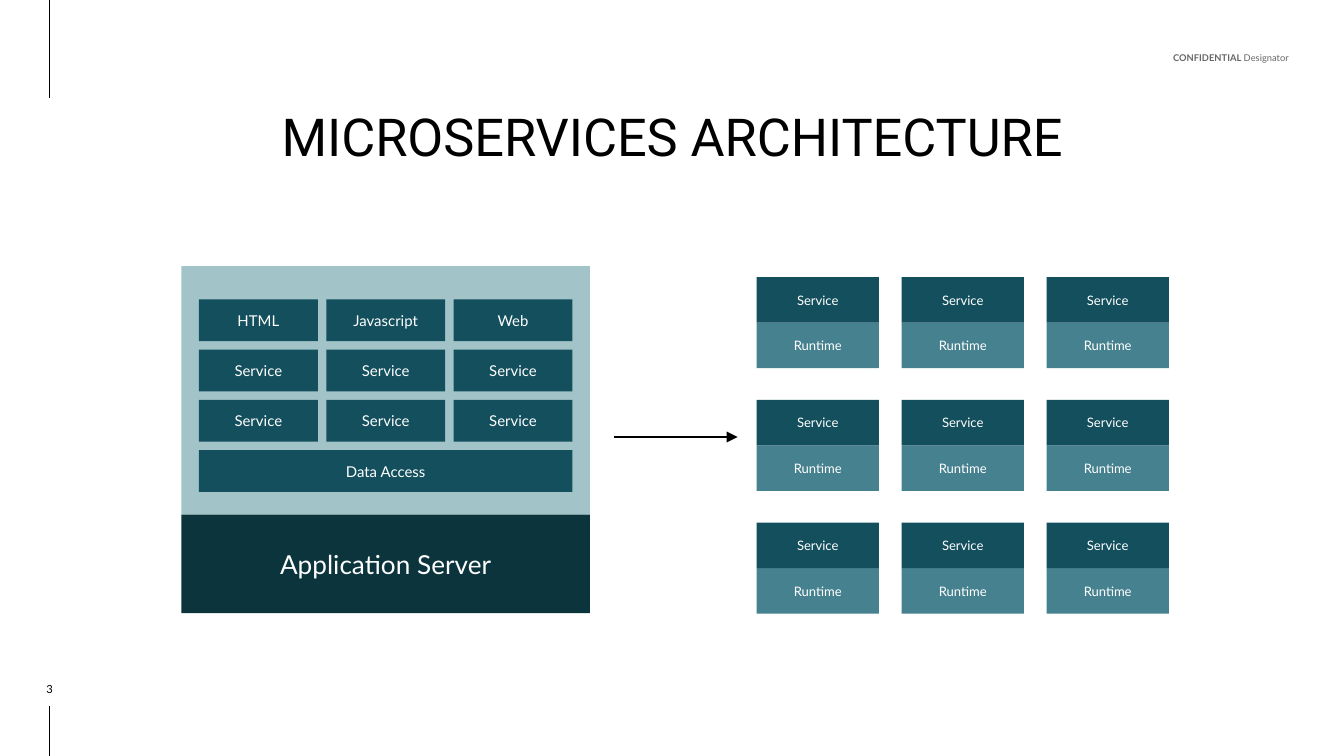
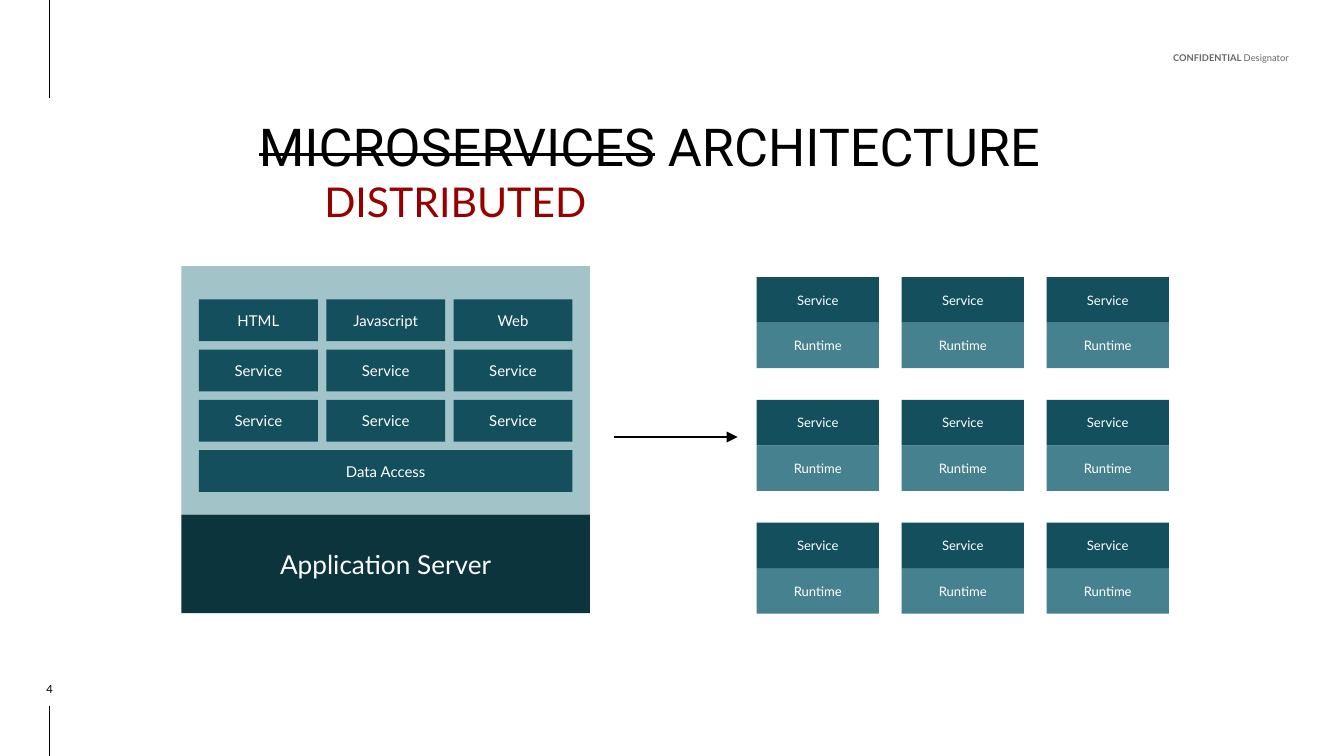
import dataclasses

import pptx
import pptx.dml.color
import pptx.enum.shapes
import pptx.enum.text
import pptx.oxml.ns
import pptx.util
from lxml import etree

Cm = pptx.util.Cm
Align = pptx.enum.text.PP_ALIGN
Anchor = pptx.enum.text.MSO_ANCHOR


@dataclasses.dataclass(frozen=True)
class Theme:
    body_font: str = "Lato"
    title_font: str = "Roboto"
    black: str = "000000"
    white: str = "FFFFFF"
    grey: str = "666666"
    red: str = "980000"
    pale: str = "A2C4C9"
    mid: str = "45818E"
    dark: str = "134F5C"
    darkest: str = "0C343D"
    title_size: float = 28
    correction_size: float = 22
    server_size: float = 14
    module_size: float = 8
    service_size: float = 7
    number_size: float = 6
    label_size: float = 5
    line_width: float = 0.75


@dataclasses.dataclass(frozen=True)
class Box:
    """A region in centimetres."""
    x: float
    y: float
    w: float
    h: float

    def inner(self, dx, dy, w, h):
        return Box(self.x + dx, self.y + dy, w, h)

    def lengths(self):
        return Cm(self.x), Cm(self.y), Cm(self.w), Cm(self.h)


THEME = Theme()
SLIDE = Box(0, 0, 25.4, 14.29)
MONOLITH = Box(3.43, 5.03, 7.72, 6.56)
SERVICES = Box(14.3, 5.24, 7.79, 6.36)
ARROW = Box(11.61, 8.26, 2.33, 0)
MODULES = [
    ["HTML", "Javascript", "Web"],
    ["Service", "Service", "Service"],
    ["Service", "Service", "Service"],
    ["Data Access"],
]


def rgb(color):
    return pptx.dml.color.RGBColor.from_string(color)


def set_font(font, size, color, name=THEME.body_font):
    font.name, font.size = name, pptx.util.Pt(size)
    font.color.rgb = rgb(color)


def add_text_box(s, box, anchor, align):
    """Add an empty text box without margins and return its text frame."""
    tf = s.shapes.add_textbox(*box.lengths()).text_frame
    tf.word_wrap = True
    tf.vertical_anchor = anchor
    tf.margin_left = tf.margin_top = tf.margin_right = tf.margin_bottom = 0
    tf.paragraphs[0].alignment = align
    return tf


def add_run(p, text):
    r = p.add_run()
    r.text = text
    return r


def add_block(shapes, box, fill, text="", size=THEME.module_size):
    sp = shapes.add_shape(pptx.enum.shapes.MSO_SHAPE.RECTANGLE, *box.lengths())
    sp.shadow.inherit = False
    sp.fill.solid()
    sp.fill.fore_color.rgb = rgb(fill)
    sp.line.fill.background()
    if text:
        tf = sp.text_frame
        tf.word_wrap = True
        tf.vertical_anchor = Anchor.MIDDLE
        p = tf.paragraphs[0]
        p.text, p.alignment = text, Align.CENTER
        set_font(p.font, size, THEME.white)


def add_line(s, box, arrow=False):
    line = s.shapes.add_connector(
        pptx.enum.shapes.MSO_CONNECTOR.STRAIGHT,
        Cm(box.x), Cm(box.y), Cm(box.x + box.w), Cm(box.y + box.h))
    line.line.color.rgb = rgb(THEME.black)
    line.line.width = pptx.util.Pt(THEME.line_width)
    qn = pptx.oxml.ns.qn
    properties = line._element.spPr
    if arrow:
        etree.SubElement(properties.find(qn("a:ln")), qn("a:tailEnd"), type="triangle")
    etree.SubElement(properties, qn("a:effectLst"))


def add_frame(s, box, number):
    """Add the edge lines, confidentiality label and slide number."""
    add_line(s, box.inner(0.93, 0, 0, 1.85))
    add_line(s, box.inner(0.93, 13.34, 0, 0.95))

    tf = add_text_box(s, box.inner(20.98, 0.56, 3.38, 0.64), Anchor.BOTTOM, Align.RIGHT)
    p = tf.paragraphs[0]
    p.line_spacing = 1.5
    add_run(p, "CONFIDENTIAL ").font.bold = True
    add_run(p, "Designator")
    set_font(p.font, THEME.label_size, THEME.grey)

    tf = add_text_box(s, box.inner(0.18, 12.85, 1.52, 0.3), Anchor.BOTTOM, Align.CENTER)
    p = tf.paragraphs[0]
    p.text = str(number)
    set_font(p.font, THEME.number_size, THEME.black)


def add_title(s, box):
    p = add_text_box(s, box, Anchor.TOP, Align.CENTER).paragraphs[0]
    p.text = "MICROSERVICES ARCHITECTURE"
    set_font(p.font, THEME.title_size, THEME.black, THEME.title_font)


def add_corrected_title(s, box):
    """Add the title with its first word struck out and replaced below."""
    tf = add_text_box(s, box, Anchor.TOP, Align.CENTER)
    p = tf.paragraphs[0]
    p.line_spacing = 1.15
    struck = add_run(p, "MICROSERVICES")
    struck._r.get_or_add_rPr().set("strike", "sngStrike")
    add_run(p, " ARCHITECTURE")
    set_font(p.font, THEME.title_size, THEME.black, THEME.title_font)

    p = tf.add_paragraph()
    p.text, p.alignment = "DISTRIBUTED", Align.LEFT
    p._p.get_or_add_pPr().set("marL", str(Cm(2.9)))
    set_font(p.font, THEME.correction_size, THEME.red)


def add_monolith(s, box):
    shapes = s.shapes.add_group_shape().shapes
    server_h = 1.86
    top_h = box.h - server_h
    add_block(shapes, box.inner(0, 0, box.w, top_h), THEME.pale)
    add_block(shapes, box.inner(0, top_h, box.w, server_h), THEME.darkest,
              "Application Server", THEME.server_size)
    margin, top, gap, h = 0.33, 0.63, 0.16, 0.79
    for i, row in enumerate(MODULES):
        w = (box.w - 2 * margin - gap * (len(row) - 1)) / len(row)
        for j, text in enumerate(row):
            cell = box.inner(margin + j * (w + gap), top + i * (h + gap), w, h)
            add_block(shapes, cell, THEME.dark, text)


def add_services(s, box, count=3):
    """Fill the box with a square grid of services, each on its own runtime."""
    w, h = 2.31, 0.86
    step_x = (box.w - w) / (count - 1)
    step_y = (box.h - 2 * h) / (count - 1)
    for i in range(count):
        for j in range(count):
            cell = box.inner(j * step_x, i * step_y, w, h)
            add_block(s.shapes, cell.inner(0, h, w, h), THEME.mid,
                      "Runtime", THEME.service_size)
            add_block(s.shapes, cell, THEME.dark, "Service", THEME.service_size)


def add_architecture_slide(prs, number, title, title_box):
    s = prs.slides.add_slide(prs.slide_layouts[6])
    add_frame(s, SLIDE, number)
    title(s, title_box)
    add_monolith(s, MONOLITH)
    add_line(s, ARROW, arrow=True)
    add_services(s, SERVICES)


def main():
    prs = pptx.Presentation()
    prs.slide_width, prs.slide_height = Cm(SLIDE.w), Cm(SLIDE.h)
    add_architecture_slide(prs, 3, add_title, Box(3.66, 1.98, 18.08, 2.01))
    add_architecture_slide(prs, 4, add_corrected_title, Box(3.23, 1.98, 18.08, 2.01))
    prs.save("out.pptx")


if __name__ == "__main__":
    main()
